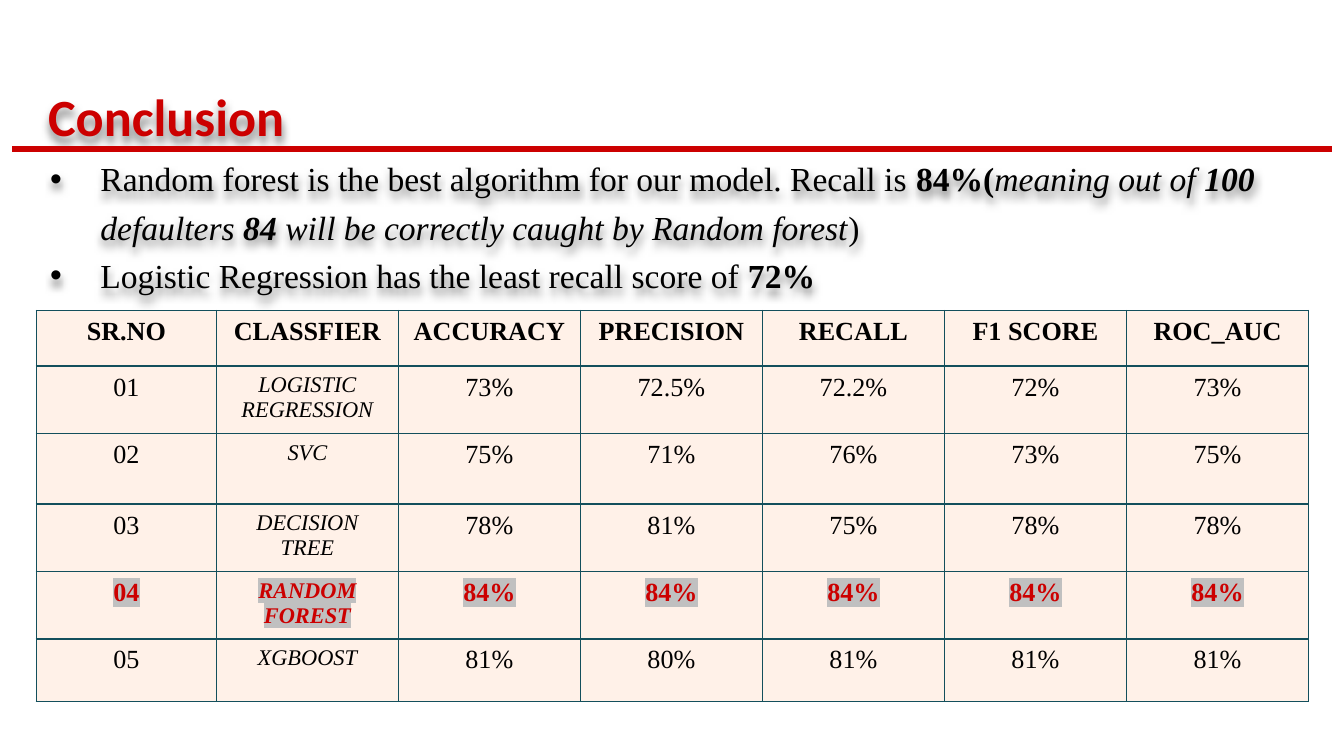
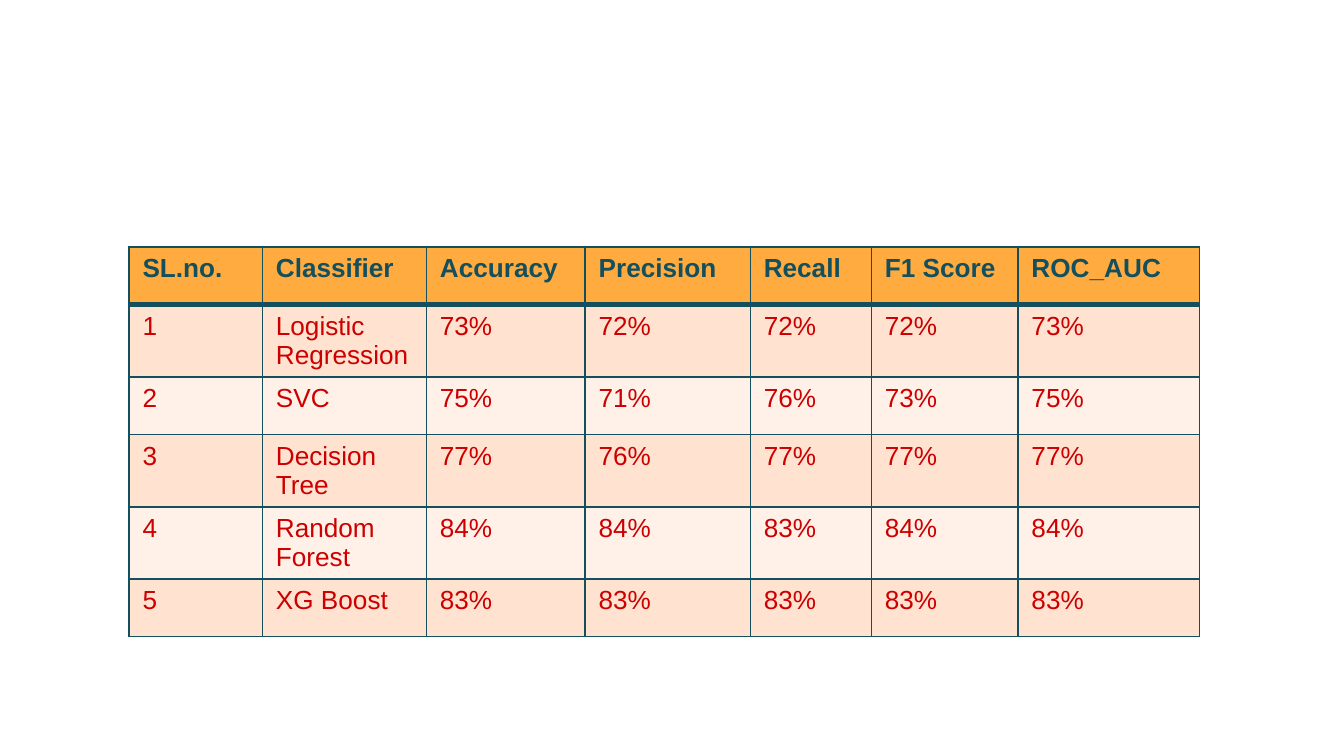
from lxml import etree
from pptx import Presentation
from pptx.dml.color import RGBColor
from pptx.enum.shapes import MSO_CONNECTOR
from pptx.enum.text import MSO_ANCHOR, PP_ALIGN
from pptx.oxml.ns import qn
from pptx.util import Cm, Pt

STRAIGHT = MSO_CONNECTOR.STRAIGHT
TOP = MSO_ANCHOR.TOP
LEFT, CENTER = PP_ALIGN.LEFT, PP_ALIGN.CENTER

COLORS = {
    "red": "CC0000", "black": "000000", "teal": "134F5C", "orange": "FFAB40",
    "peach": "FFE2CF", "cream": "FFF1E8", "gray": "C0C0C0",
}
TITLE_FONT, SERIF, SANS = "Calibri", "Times New Roman", "Arial"


def rgb(name):
    return RGBColor.from_string(COLORS[name])


def add_color(parent, name):
    etree.SubElement(parent, qn("a:srgbClr"), val=COLORS[name])


def add_run(p, text, size, font, color, bold=False, italic=False, highlight=None):
    r = p.add_run()
    r.text = text
    r.font.size, r.font.name = Pt(size), font
    r.font.bold, r.font.italic = bold, italic
    r.font.color.rgb = rgb(color)
    if highlight:
        mark = etree.Element(qn("a:highlight"))
        add_color(mark, highlight)
        r.font._element.find(qn("a:solidFill")).addnext(mark)


def add_text_box(s, left, top, width, height):
    """Text box whose text casts a soft shadow downwards."""
    sp = s.shapes.add_textbox(Cm(left), Cm(top), Cm(width), Cm(height))
    tf = sp.text_frame
    tf.word_wrap, tf.vertical_anchor = True, TOP
    tf.margin_left = tf.margin_right = tf.margin_top = tf.margin_bottom = Cm(0.25)
    effects = etree.SubElement(sp._element.spPr, qn("a:effectLst"))
    shadow = etree.SubElement(effects, qn("a:outerShdw"), blurRad="57150",
                              dist="38100", dir="5400000", rotWithShape="0")
    add_color(shadow, "black")
    etree.SubElement(shadow[0], qn("a:alpha"), val="50000")
    return tf


def add_title(s, text):
    tf = add_text_box(s, 0.66, 1.35, 23.67, 1.47)
    add_run(tf.paragraphs[0], text, 28, TITLE_FONT, "red", bold=True)


def add_title_rule(s):
    line = s.shapes.add_connector(STRAIGHT, Cm(0.23), Cm(2.82), Cm(25.17), Cm(2.82))
    line.line.color.rgb = rgb("red")
    line.line.width = Pt(3)
    etree.SubElement(line._element.spPr, qn("a:effectLst"))


def add_bullets(s, items):
    """Each item is a list of (text, bold, italic) runs."""
    tf = add_text_box(s, 0.38, 2.59, 23.67, 3)
    for i, runs in enumerate(items):
        p = tf.paragraphs[0] if i == 0 else tf.add_paragraph()
        pPr = p._p.get_or_add_pPr()
        pPr.set("marL", str(Cm(1.27)))
        pPr.set("indent", str(-Cm(0.95)))
        add_color(etree.SubElement(pPr, qn("a:buClr")), "black")
        etree.SubElement(pPr, qn("a:buFont"), typeface=SANS)
        etree.SubElement(pPr, qn("a:buChar"), char="•")
        p.line_spacing = 1.2
        for text, bold, italic in runs:
            add_run(p, text, 18, SERIF, "black", bold, italic)


def set_borders(cell, top=1, bottom=1):
    tcPr = cell._tc.get_or_add_tcPr()
    for side, width in (("L", 1), ("R", 1), ("T", top), ("B", bottom)):
        ln = etree.SubElement(tcPr, qn(f"a:ln{side}"), w=str(Pt(width)))
        add_color(etree.SubElement(ln, qn("a:solidFill")), "teal")


def add_score_table(s, left, top, widths, heights, rows, style, header_rule=1):
    """style(row, col) gives the cell fill, the alignment and the run format."""
    frame = s.shapes.add_table(len(rows), len(widths), Cm(left), Cm(top),
                               Cm(sum(widths)), Cm(sum(heights)))
    table = frame.table
    for column, width in zip(table.columns, widths):
        column.width = Cm(width)
    for i, (values, height) in enumerate(zip(rows, heights)):
        table.rows[i].height = Cm(height)
        for j, value in enumerate(values):
            cell = table.cell(i, j)
            fill, align, fmt = style(i, j)
            set_borders(cell, top=header_rule if i == 1 else 1,
                        bottom=header_rule if i == 0 else 1)
            cell.fill.solid()
            cell.fill.fore_color.rgb = rgb(fill)
            tf = cell.text_frame
            for k, text in enumerate(value.split("\n")):
                p = tf.paragraphs[0] if k == 0 else tf.add_paragraph()
                p.alignment = align
                add_run(p, text, **fmt)


def conclusion_style(row, col):
    best = row == 4
    name = row > 0 and col == 1
    fmt = dict(size=12 if name else 14, font=SERIF, color="red" if best else "black",
               bold=row == 0 or best, italic=name, highlight="gray" if best else None)
    return "cream", CENTER, fmt


def banded_style(row, col):
    header = row == 0
    fill = "orange" if header else ("cream", "peach")[row % 2]
    fmt = dict(size=14, font=SANS, color="teal" if header else "red", bold=header)
    return fill, LEFT, fmt


def build_conclusion(s):
    add_title(s, "Conclusion")
    add_bullets(s, [
        [("Random forest is the best algorithm for our model. Recall is ", False, False),
         ("84%(", True, False), ("meaning out of ", False, True), ("100", True, True),
         (" defaulters ", False, True), ("84 ", True, True),
         ("will be correctly caught by Random forest", False, True),
         (")", False, False)],
        [("Logistic Regression has the least recall score of ", False, False),
         ("72%", True, False)],
    ])
    rows = [
        ["SR.NO", "CLASSFIER", "ACCURACY", "PRECISION", "RECALL", "F1 SCORE", "ROC_AUC"],
        ["01", "LOGISTIC\nREGRESSION", "73%", "72.5%", "72.2%", "72%", "73%"],
        ["02", "SVC", "75%", "71%", "76%", "73%", "75%"],
        ["03", "DECISION\nTREE", "78%", "81%", "75%", "78%", "78%"],
        ["04", "RANDOM\nFOREST"] + ["84%"] * 5,
        ["05", "XGBOOST", "81%", "80%", "81%", "81%", "81%"],
    ]
    add_score_table(s, 0.69, 5.87, [3.4] + [3.44] * 6,
                    [1.05, 1.19, 1.34, 1.19, 1.19, 1.19], rows, conclusion_style)
    add_title_rule(s)


def build_scores(s):
    rows = [
        ["SL.no.", "Classifier", "Accuracy", "Precision", "Recall", "F1 Score", "ROC_AUC"],
        ["1", "Logistic Regression", "73%", "72%", "72%", "72%", "73%"],
        ["2", "SVC", "75%", "71%", "76%", "73%", "75%"],
        ["3", "Decision Tree", "77%", "76%", "77%", "77%", "77%"],
        ["4", "Random Forest", "84%", "84%", "83%", "84%", "84%"],
        ["5", "XG Boost"] + ["83%"] * 5,
    ]
    add_score_table(s, 2.44, 4.67, [2.52, 3.1, 3, 3.12, 2.29, 2.77, 3.43],
                    [1.09] * len(rows), rows, banded_style, header_rule=3)


def main():
    prs = Presentation()
    prs.slide_width, prs.slide_height = Cm(25.4), Cm(14.29)
    blank = prs.slide_layouts[6]
    for build in (build_conclusion, build_scores):
        build(prs.slides.add_slide(blank))
    prs.save("out.pptx")


if __name__ == "__main__":
    main()
